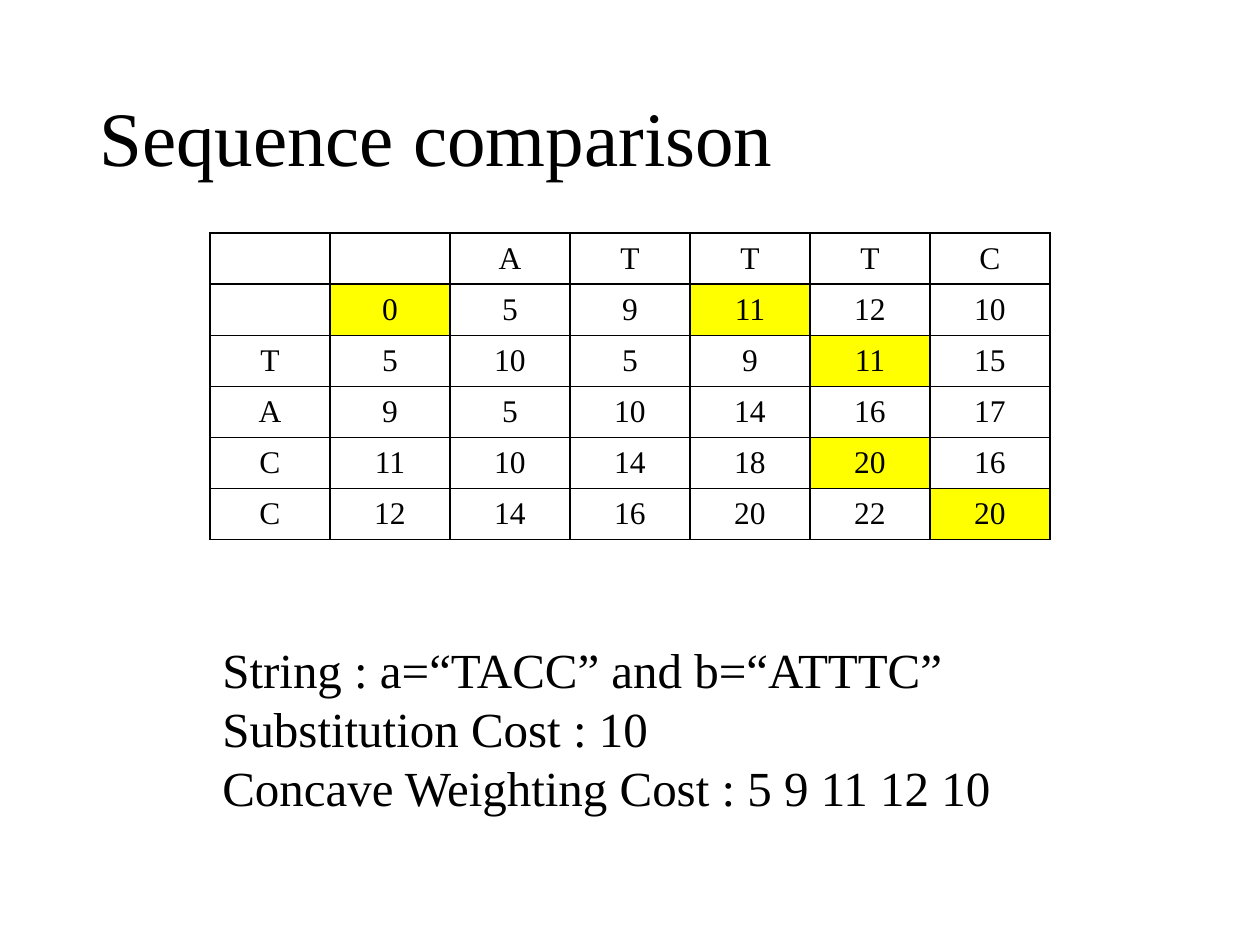
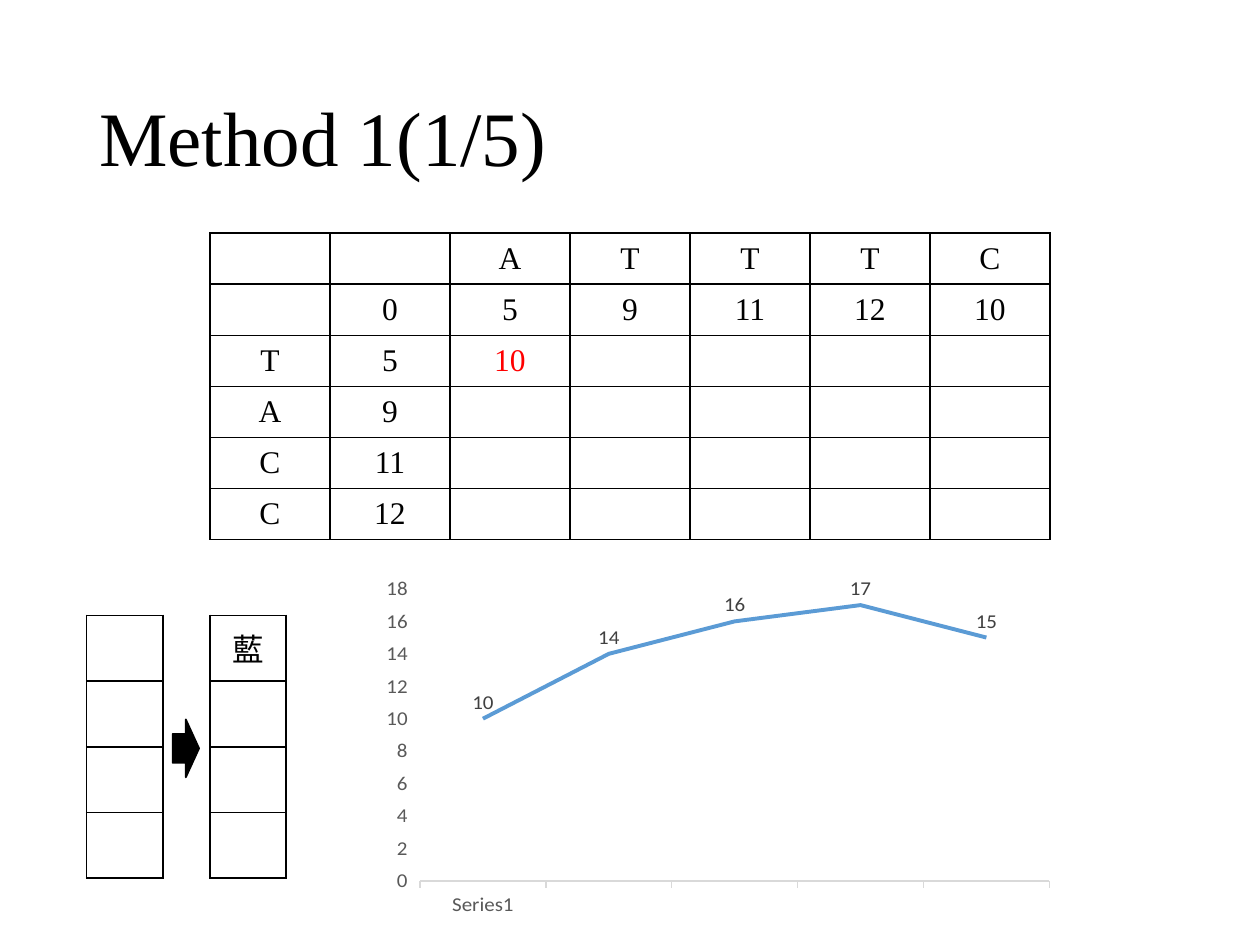
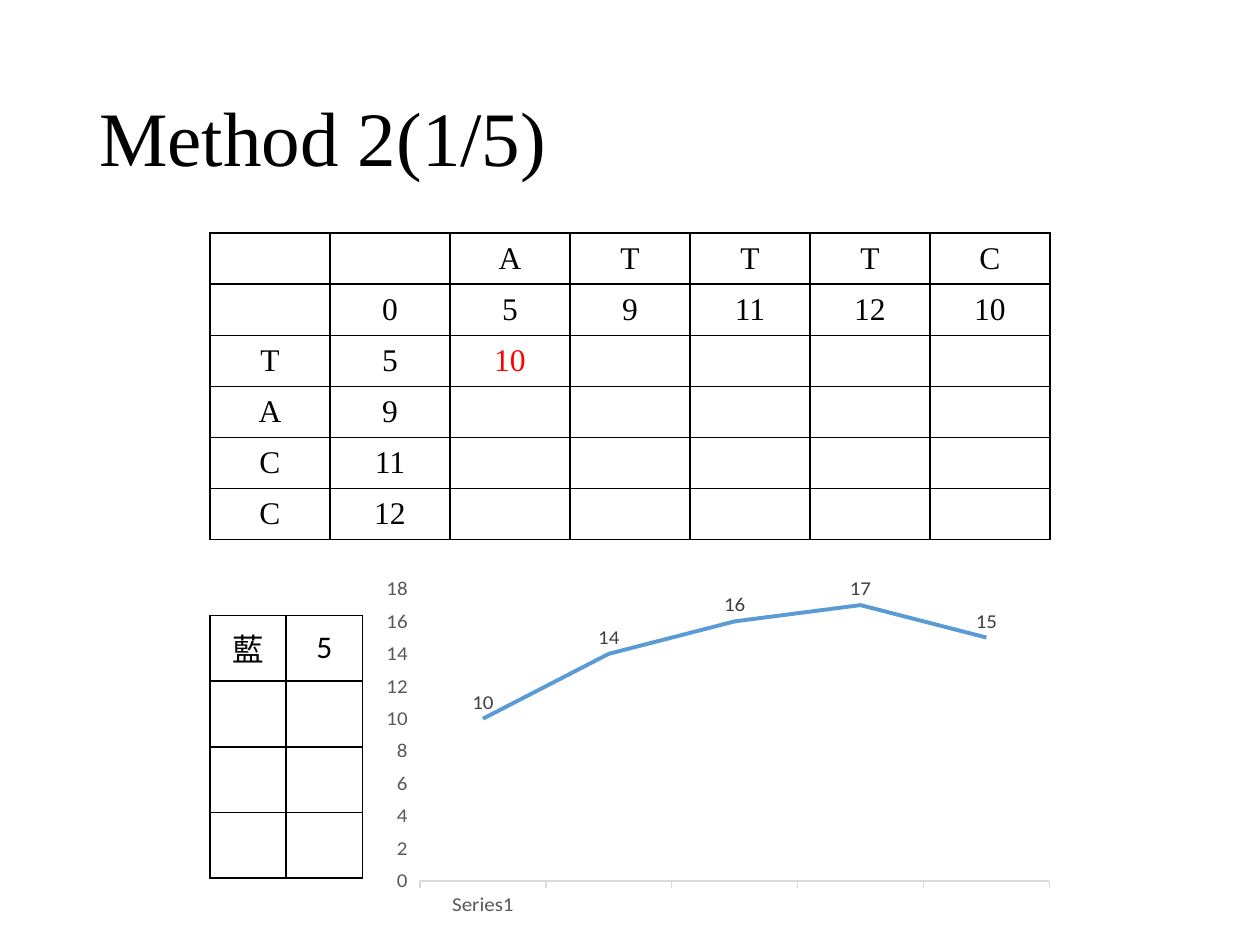
from lxml import etree
from pptx import Presentation
from pptx import util as u
from pptx.chart.data import CategoryChartData
from pptx.dml.color import RGBColor
from pptx.enum import chart as ch, shapes, text
from pptx.oxml import ns

COLORS = {"ink": "000000", "paper": "FFFFFF", "path_cell": "FFFF00", "new": "FF0000",
          "curve": "5B9BD5", "axis": "D9D9D9", "tick": "595959", "value": "404040"}
SERIF, SANS = "Times New Roman", "Calibri"
COLS, ROWS = 60, 45  # slide grid


def color(name):
    return RGBColor.from_string(COLORS[name])


class Deck:
    """Holds the style and the current slide; lengths are grid columns and rows."""

    def __init__(self):
        self.prs = Presentation()
        self.prs.slide_width, self.prs.slide_height = u.Inches(10), u.Inches(7.5)
        self.s = None

    def x(self, cols):
        return round(self.prs.slide_width * cols / COLS)

    def y(self, rows):
        return round(self.prs.slide_height * rows / ROWS)

    def box(self, left, top, width, height):
        return self.x(left), self.y(top), self.x(width), self.y(height)

    def style(self, font, size, name=SERIF, ink="ink"):
        font.name, font.size = name, u.Pt(size)
        font.color.rgb = color(ink)

    def slide(self, title):
        self.s = self.prs.slides.add_slide(self.prs.slide_layouts[5])
        sp = self.s.shapes.title
        sp.left, sp.top, sp.width, sp.height = self.box(4.13, 2.4, 51.75, 8.7)
        tf = sp.text_frame
        tf.text = title
        tf.auto_size = text.MSO_AUTO_SIZE.NONE
        tf.vertical_anchor = text.MSO_ANCHOR.MIDDLE
        p = tf.paragraphs[0]
        p.alignment, p.line_spacing = text.PP_ALIGN.LEFT, 0.9
        self.style(p.runs[0].font, 44)

    def lines(self, rows, left, top, width, height):
        tf = self.s.shapes.add_textbox(*self.box(left, top, width, height)).text_frame
        tf.text = "\n".join(rows)
        tf.word_wrap = False
        tf.auto_size = text.MSO_AUTO_SIZE.SHAPE_TO_FIT_TEXT
        for p in tf.paragraphs:
            self.style(p.runs[0].font, 28)

    def borders(self, cell):
        tc_pr = cell._tc.get_or_add_tcPr()
        for side in ("a:lnL", "a:lnR", "a:lnT", "a:lnB"):
            ln = etree.SubElement(tc_pr, ns.qn(side), w=str(u.Pt(1)))
            fill = etree.SubElement(ln, ns.qn("a:solidFill"))
            etree.SubElement(fill, ns.qn("a:srgbClr"), val=COLORS["ink"])

    def table(self, rows, left, top, col, row, font=SERIF, fills=(), new=()):
        n, m = len(rows), len(rows[0])
        t = self.s.shapes.add_table(n, m, *self.box(left, top, m * col, n * row)).table
        t.first_row = t.horz_banding = False
        for i, values in enumerate(rows):
            for j, value in enumerate(values):
                cell = t.cell(i, j)
                self.borders(cell)
                cell.fill.solid()
                cell.fill.fore_color.rgb = color("path_cell" if (i, j) in fills else "paper")
                cell.vertical_anchor = text.MSO_ANCHOR.MIDDLE
                if value:
                    cell.text = value
                    p = cell.text_frame.paragraphs[0]
                    p.alignment = text.PP_ALIGN.CENTER
                    self.style(p.runs[0].font, 18, font, "new" if (i, j) in new else "ink")

    def arrow(self, left, top, width, height):
        sp = self.s.shapes.add_shape(shapes.MSO_SHAPE.RIGHT_ARROW,
                                     *self.box(left, top, width, height))
        sp.shadow.inherit = False
        sp.fill.solid()
        sp.fill.fore_color.rgb = sp.line.color.rgb = color("ink")
        sp.line.width = u.Pt(1)

    def plot_area(self, chart, *shares):
        area = chart._chartSpace.chart.plotArea
        for old in area.findall(ns.qn("c:layout")):
            area.remove(old)
        layout = etree.Element(ns.qn("c:layout"))
        manual = etree.SubElement(layout, ns.qn("c:manualLayout"))
        settings = [("layoutTarget", "inner"), ("xMode", "edge"), ("yMode", "edge"),
                    *zip("xywh", shares)]
        for tag, val in settings:
            etree.SubElement(manual, ns.qn(f"c:{tag}"), val=str(val))
        area.insert(0, layout)

    def line_chart(self, cats, values, left, top, width, height):
        data = CategoryChartData()
        data.categories = cats
        data.add_series("Series 1", values)
        chart = self.s.shapes.add_chart(ch.XL_CHART_TYPE.LINE,
                                        *self.box(left, top, width, height), data).chart
        chart.has_legend = chart.has_title = False
        self.style(chart.font, 10, SANS)
        self.plot_area(chart, 0.085, 0.023, 0.915, 0.921)
        # Axes
        for axis in (chart.category_axis, chart.value_axis):
            axis.has_major_gridlines = False
            axis.major_tick_mark = ch.XL_TICK_MARK.OUTSIDE
            self.style(axis.tick_labels.font, 12, SANS, "tick")
        chart.category_axis.format.line.color.rgb = color("axis")
        chart.category_axis.format.line.width = u.Pt(0.75)
        chart.value_axis.format.line.fill.background()
        chart.value_axis.minimum_scale, chart.value_axis.maximum_scale = 0, 18
        chart.value_axis.major_unit = 2
        # Curve and its values
        plot = chart.plots[0]
        plot.vary_by_categories = False
        series = plot.series[0]
        series.smooth = False
        series.marker.style = ch.XL_MARKER_STYLE.NONE
        series.format.line.color.rgb = color("curve")
        series.format.line.width = u.Pt(2.25)
        labels = series.data_labels
        labels.show_value, labels.position = True, ch.XL_LABEL_POSITION.ABOVE
        self.style(labels.font, 12, SANS, "value")


COSTS = ["0", "5", "9", "11", "12", "10"]
SOLVED = ["10 5 9 11 15", "5 10 14 16 17", "10 14 18 20 16", "14 16 20 22 20"]


def cost_table(deck, inner, **marks):
    """Cost table of TACC against ATTTC, with the inner rows filled as far as given."""
    rows = [["", "", *"ATTTC"], ["", *COSTS]]
    for letter, cost, line in zip("TACC", COSTS[1:], inner):
        values = line.split()
        rows.append([letter, cost, *values, *[""] * (5 - len(values))])
    deck.table(rows, 10, 11.1, 40 / 7, 2.43, **marks)


def stack(deck, left, *top_cells):
    """Four-row stack with the given cells in its top row."""
    rows = [list(top_cells)] + [[""] * len(top_cells) for _ in range(3)]
    deck.table(rows, left, 29.3, 3.63, 3.13, font=SANS)


def method_slide(deck, title):
    deck.slide(title)
    cost_table(deck, ["10", "", "", ""], new=[(2, 2)])
    deck.line_chart(["Series1", "", "", "", ""], [10, 14, 16, 17, 15],
                    17.22, 27.48, 32.78, 16.14)


def main():
    deck = Deck()

    # Solved comparison
    deck.slide("Sequence comparison")
    cost_table(deck, SOLVED, fills=[(1, 1), (1, 4), (2, 5), (4, 5), (5, 6)])
    deck.lines(["String : a=“TACC” and b=“ATTTC”", "Substitution Cost : 10",
                "Concave Weighting Cost : 5 9 11 12 10"], 10, 30.18, 38.16, 9.06)

    # Method 1: one-column stacks
    method_slide(deck, "Method 1(1/5)")
    stack(deck, 10, "藍")
    stack(deck, 4.13, "")
    deck.arrow(8.22, 34.26, 1.26, 2.76)

    # Method 2: stack with positions
    method_slide(deck, "Method 2(1/5)")
    stack(deck, 10, "藍", "5")

    deck.prs.save("out.pptx")


if __name__ == "__main__":
    main()
